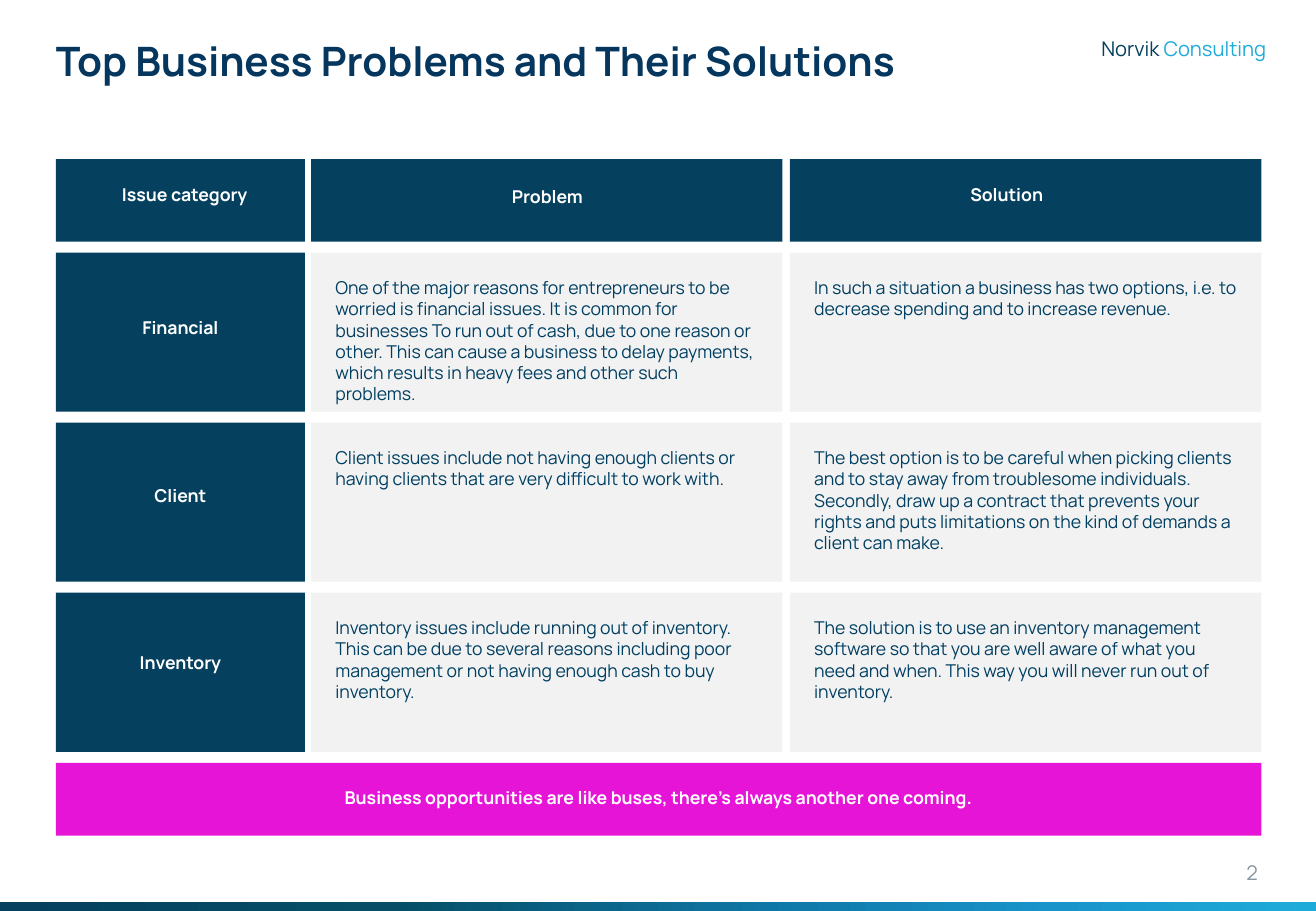
from dataclasses import dataclass

from lxml.etree import SubElement
from pptx import Presentation
from pptx.dml.color import RGBColor
from pptx.enum.shapes import MSO_SHAPE as Shape
from pptx.enum.text import MSO_ANCHOR as Anchor, MSO_AUTO_SIZE as AutoSize, PP_ALIGN as Align
from pptx.oxml.ns import qn
from pptx.util import Inches, Pt

COLORS = {
    "navy": "05405E", "title": "05365E", "body": "003F62", "sky": "1EABD9",
    "panel": "F2F2F2", "magenta": "E614D7", "gray": "8996A0", "white": "FFFFFF",
}
FONT = "Manrope"
BAR_STOPS = [(0, "05405E"), (30, "064F67"), (61, "107AAB"), (80, "1994CB"), (100, "1EABD9")]
LEFT, FULL_W = 0.46, 9.92
HEADER_TOP, HEADER_H = 1.31, 0.68
ROW_TOP, ROW_H, ROW_STEP = 2.08, 1.31, 1.4
LABEL_TOP, LABEL_STEP, LABEL_H = 2.41, 1.38, 0.64


@dataclass
class Column:
    header: str
    left: float
    width: float
    label_left: float
    label_top: float
    label_width: float


@dataclass
class Issue:
    category: str
    problem: str
    solution: str


COLUMNS = [
    Column("Issue category", LEFT, 2.05, 0.62, 1.31, 1.8),
    Column("Problem", 2.56, 3.88, 3.55, 1.33, 1.91),
    Column("Solution", 6.5, 3.88, 7.3, 1.31, 1.97),
]
ISSUES = [
    Issue(
        "Financial",
        "One of the major reasons for entrepreneurs to be worried is financial issues. "
        "It is common for businesses To run out of cash, due to one reason or other. "
        "This can cause a business to delay payments, which results in heavy fees and "
        "other such problems.",
        "In such a situation a business has two options, i.e. to decrease spending and "
        "to increase revenue.",
    ),
    Issue(
        "Client",
        "Client issues include not having enough clients or having clients that are very "
        "difficult to work with.",
        "The best option is to be careful when picking clients and to stay away from "
        "troublesome individuals. Secondly, draw up a contract that prevents your rights "
        "and puts limitations on the kind of demands a client can make.",
    ),
    Issue(
        "Inventory",
        "Inventory issues include running out of inventory. This can be due to several "
        "reasons including poor management or not having enough cash to buy inventory.",
        "The solution is to use an inventory management software so that you are well "
        "aware of what you need and when. This way you will never run out of inventory.",
    ),
]


def write(tf, text: str, *, size: float = 10.5, color: str = "white", bold: bool = False,
          align=Align.LEFT, anchor=Anchor.TOP, inset: tuple[float, float] = (0.2, 0.2)) -> None:
    tf.word_wrap = True
    tf.auto_size = AutoSize.NONE
    tf.vertical_anchor = anchor
    tf.margin_left = tf.margin_right = Inches(inset[0])
    tf.margin_top = tf.margin_bottom = Inches(inset[1])
    p = tf.paragraphs[0]
    p.alignment = align
    r = p.add_run()
    r.text = text
    r.font.name = FONT
    r.font.size = Pt(size)
    r.font.bold = bold
    r.font.color.rgb = RGBColor.from_string(COLORS[color])


def add_box(s, left: float, top: float, width: float, height: float, fill: str):
    sp = s.shapes.add_shape(Shape.RECTANGLE, Inches(left), Inches(top), Inches(width), Inches(height))
    sp.shadow.inherit = False
    sp.line.fill.background()
    sp.fill.solid()
    sp.fill.fore_color.rgb = RGBColor.from_string(COLORS[fill])
    return sp


def add_text(s, left: float, top: float, width: float, height: float, text: str, **fmt):
    sp = s.shapes.add_textbox(Inches(left), Inches(top), Inches(width), Inches(height))
    write(sp.text_frame, text, **fmt)
    return sp


def add_bottom_bar(s) -> None:
    sp = add_box(s, 0, 7.43, 10.83, 0.07, "navy")
    sp.fill.gradient()
    sp.fill.gradient_angle = 0
    stops = next(sp.element.iter(qn("a:gsLst")))
    for stop in list(stops):
        stops.remove(stop)
    for position, color in BAR_STOPS:
        stop = SubElement(stops, qn("a:gs"), pos=str(position * 1000))
        SubElement(stop, qn("a:srgbClr"), val=color)


def add_title(s) -> None:
    sp = s.shapes.title
    sp.left, sp.top, sp.width, sp.height = (Inches(v) for v in (LEFT, 0.25, 8.05, 0.5))
    write(sp.text_frame, "Top Business Problems and Their Solutions", size=24, color="title",
          bold=True, anchor=Anchor.MIDDLE, inset=(0, 0))


def add_grid(s) -> None:
    label = {"bold": True, "align": Align.CENTER}
    for col in COLUMNS:
        add_box(s, col.left, HEADER_TOP, col.width, HEADER_H, "navy")
        add_text(s, col.label_left, col.label_top, col.label_width, LABEL_H, col.header, **label)
    category, *details = COLUMNS
    for i, issue in enumerate(ISSUES):
        top = ROW_TOP + i * ROW_STEP
        add_box(s, category.left, top, category.width, ROW_H, "navy")
        add_text(s, 0.75, LABEL_TOP + i * LABEL_STEP, 1.47, LABEL_H, issue.category, **label)
        for col, text in zip(details, (issue.problem, issue.solution)):
            sp = add_box(s, col.left, top, col.width, ROW_H, "panel")
            write(sp.text_frame, text, color="body")
    banner = add_box(s, LEFT, 6.28, FULL_W, 0.6, "magenta")
    write(banner.text_frame, "Business opportunities are like buses, there’s always another one coming.",
          **label)


def main() -> None:
    prs = Presentation()
    prs.slide_width, prs.slide_height = Inches(10.83), Inches(7.5)
    s = prs.slides.add_slide(prs.slide_layouts[5])
    add_title(s)
    small = {"size": 12, "align": Align.RIGHT, "inset": (0.1, 0.05)}
    firm = add_text(s, 8.31, 0.25, 2.21, 0.3, "Norvik ", color="navy", **small)
    write(firm.text_frame, "Consulting", color="sky", **small)
    add_bottom_bar(s)
    add_text(s, 10, 7.08, 0.45, 0.21, "2", color="gray", anchor=Anchor.MIDDLE, **small)
    add_grid(s)
    prs.save("out.pptx")


if __name__ == "__main__":
    main()
